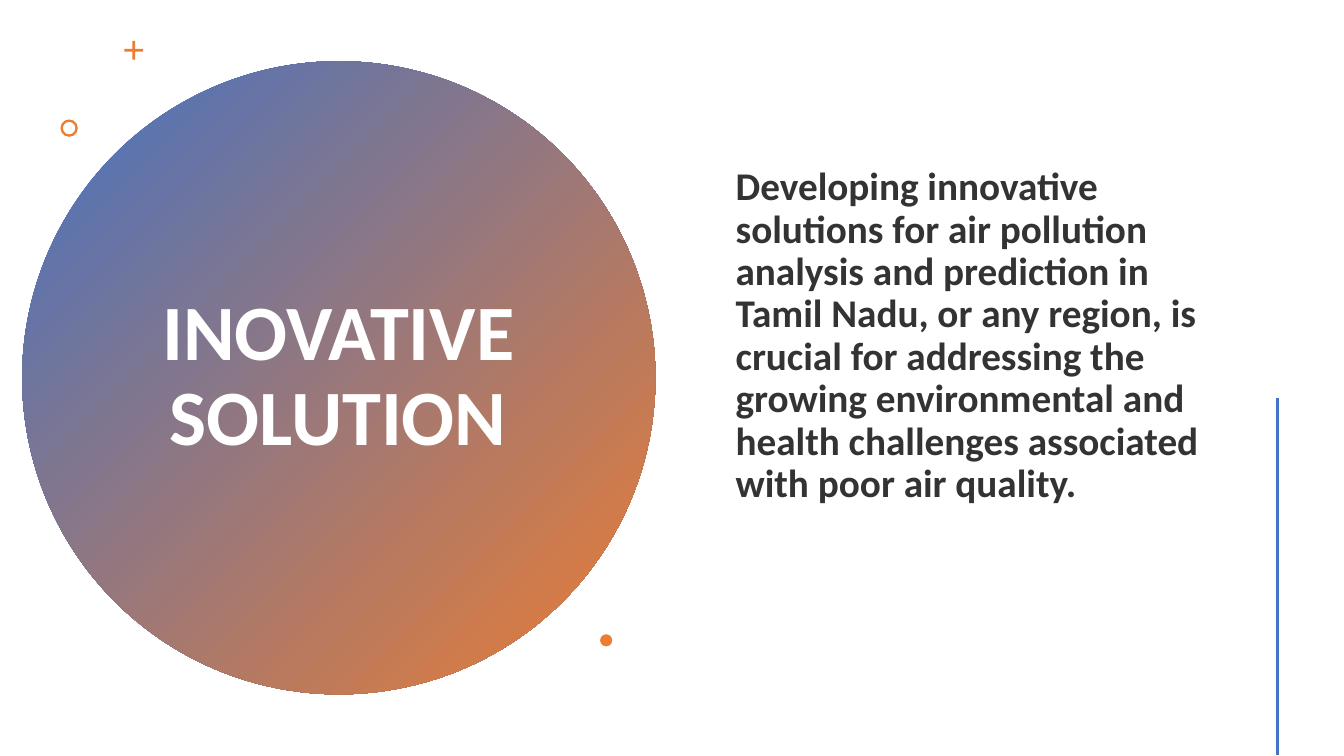
"""Build the solution slide on a grid of 100 columns by 100 rows."""
from pptx import Presentation
from pptx.dml.color import RGBColor
from pptx.enum.shapes import MSO_CONNECTOR, MSO_SHAPE
from pptx.enum.text import MSO_ANCHOR, PP_ALIGN
from pptx.oxml.ns import qn
from pptx.util import Inches, Pt
from lxml import etree

WIDE, HIGH = Inches(13.33), Inches(7.5)
BLUE = RGBColor(0x44, 0x72, 0xC4)
ORANGE = RGBColor(0xED, 0x7D, 0x31)
WHITE = RGBColor(0xFF, 0xFF, 0xFF)
DARK = RGBColor(0x33, 0x33, 0x33)
FONT = "Calibri"
OVAL, RING, PLUS = MSO_SHAPE.OVAL, MSO_SHAPE.DONUT, MSO_SHAPE.CROSS
STRAIGHT = MSO_CONNECTOR.STRAIGHT
MIDDLE = MSO_ANCHOR.MIDDLE
LEFT, CENTER = PP_ALIGN.LEFT, PP_ALIGN.CENTER


def col(n):
    return round(WIDE * n / 100)


def row(n):
    return round(HIGH * n / 100)


def add_mark(slide, kind, x, y, size, adjust=None):
    side = row(size)
    mark = slide.shapes.add_shape(kind, col(x), row(y), side, side)
    mark.shadow.inherit = False
    mark.line.fill.background()
    mark.fill.solid()
    mark.fill.fore_color.rgb = ORANGE
    if adjust is not None:
        mark.adjustments[0] = adjust
    return mark


def blend(shape, colors, angle):
    shape.fill.gradient()
    shape.fill.gradient_angle = angle
    for stop, color, place in zip(shape.fill.gradient_stops, colors, (0, 1)):
        stop.color.rgb = color
        stop.position = place


def add_text(slide, text, box, size, color, align, before=0):
    x, y, w, h = box
    frame = slide.shapes.add_textbox(col(x), row(y), col(w), row(h)).text_frame
    frame.word_wrap = True
    frame.vertical_anchor = MIDDLE
    para = frame.paragraphs[0]
    para.alignment = align
    para.line_spacing = 0.9
    para.space_before = Pt(before)
    run = para.add_run()
    run.text = text
    run.font.name = FONT
    run.font.size = Pt(size)
    run.font.bold = True
    run.font.color.rgb = color


def add_rule(slide, x, top, end):
    rule = slide.shapes.add_connector(STRAIGHT, col(x), row(top), col(x), row(end))
    rule.line.color.rgb = BLUE
    rule.line.width = Pt(2)
    etree.SubElement(rule._element.spPr, qn("a:effectLst"))


def main():
    deck = Presentation()
    deck.slide_width, deck.slide_height = WIDE, HIGH
    slide = deck.slides.add_slide(deck.slide_layouts[6])
    disc = add_mark(slide, OVAL, 1.65, 8.1, 83.75)
    blend(disc, (BLUE, ORANGE), 315)
    add_text(slide, "INOVATIVE SOLUTION", (10.2, 18.8, 29.95, 62.3),
             56, WHITE, CENTER)
    add_mark(slide, PLUS, 9.25, 5.4, 2.5, 0.43)
    add_mark(slide, RING, 4.5, 15.8, 2.3, 0.14)
    add_text(slide, "Developing innovative solutions for air pollution analysis "
             "and prediction in Tamil Nadu, or any region, is crucial for "
             "addressing the growing environmental and health challenges "
             "associated with poor air quality.",
             (54, 8, 36.75, 73), 28, DARK, LEFT, 10)
    add_mark(slide, OVAL, 44.65, 83.9, 1.6)
    add_rule(slide, 95.05, 52.6, 99.9)
    deck.save("out.pptx")


if __name__ == "__main__":
    main()
